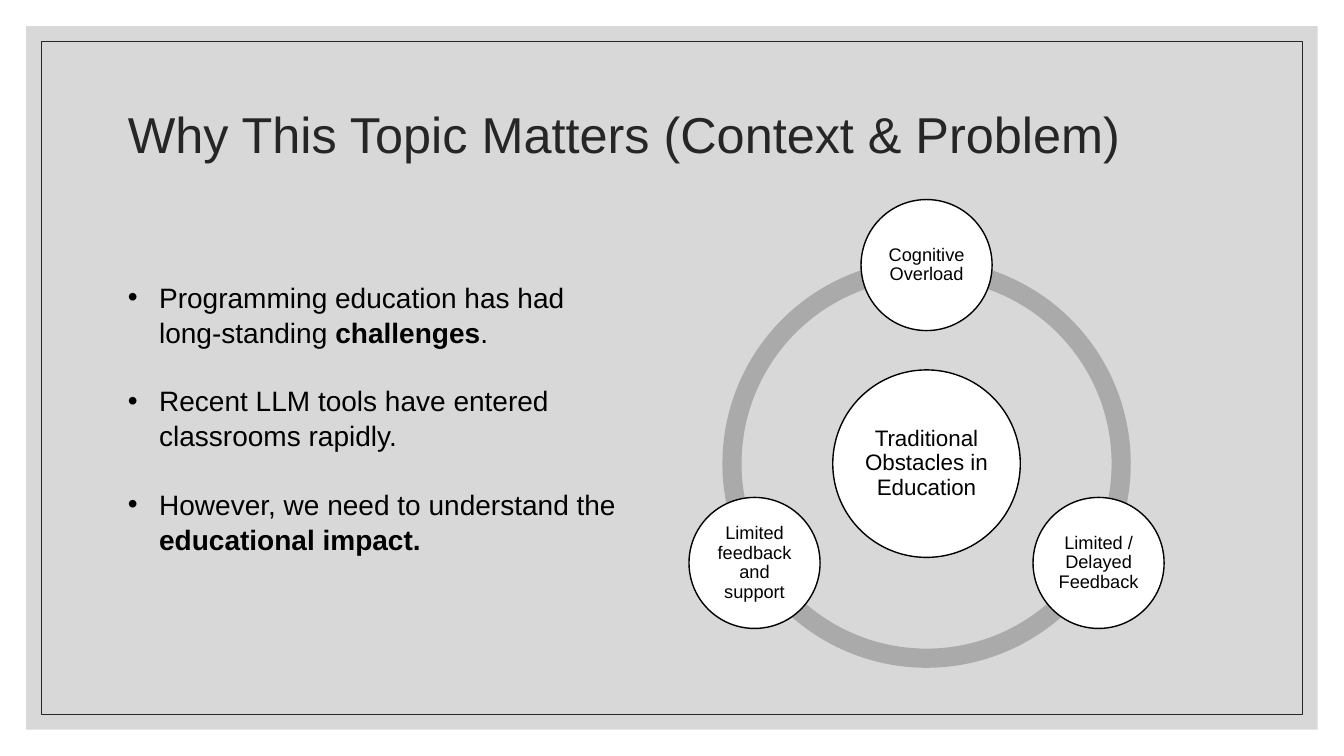
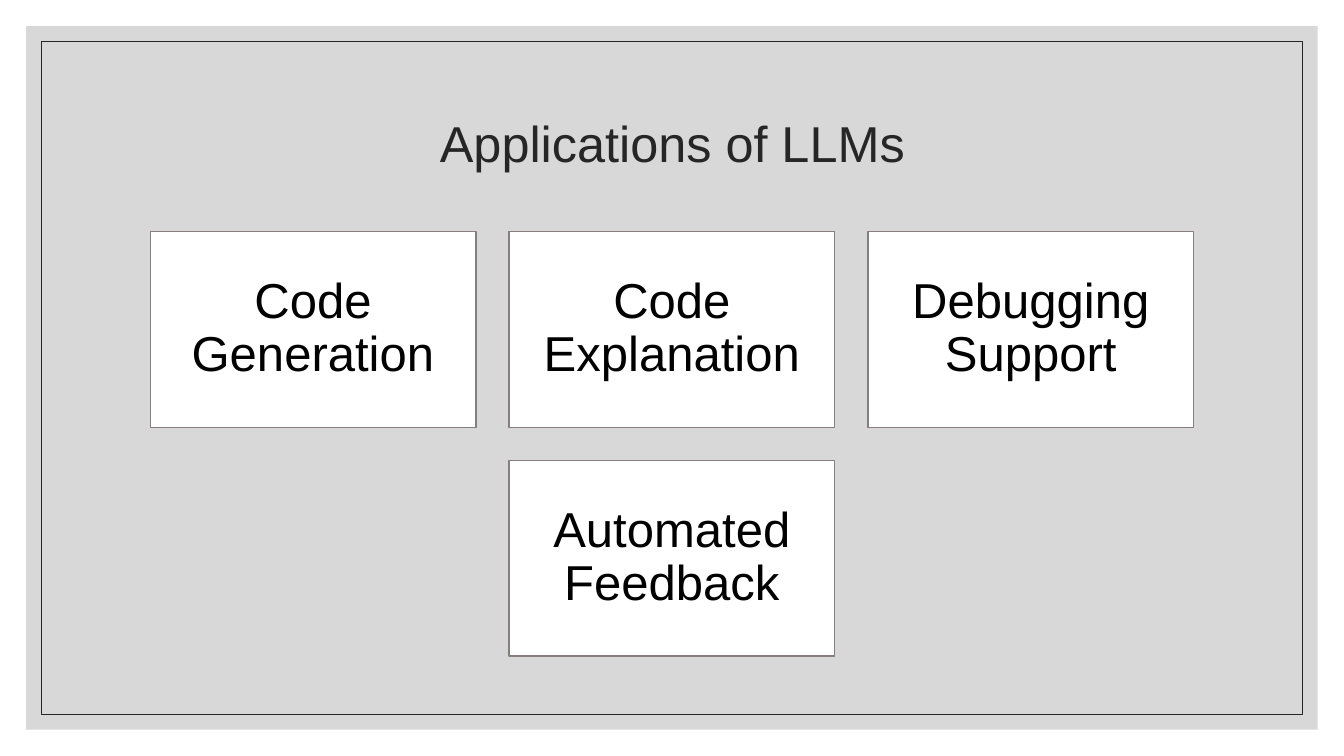
from math import cos, radians, sin

from lxml.etree import SubElement
from pptx import Presentation
from pptx.dml.color import RGBColor
from pptx.enum.shapes import MSO_SHAPE
from pptx.enum.text import MSO_ANCHOR, MSO_AUTO_SIZE, PP_ALIGN
from pptx.oxml.ns import qn
from pptx.util import Inches, Pt

FONT = "Arial"
BLACK = "000000"
WHITE = "FFFFFF"
DARK = "262626"
PANEL_GRAY = "BFBFBF"
RING_GRAY = "AAAAAA"
CARD_EDGE = "877E7E"

SLIDE_WIDTH, SLIDE_HEIGHT = 13.33, 7.5


def color(hex_code):
    return RGBColor.from_string(hex_code)


def write_text(para, text, size, font_color=BLACK, bold=False):
    span = para.add_run()
    span.text = text
    span.font.name = FONT
    span.font.size = Pt(size)
    span.font.bold = bold
    span.font.color.rgb = color(font_color)


def add_figure(page, preset, left, top, width, height, fill=None, line=None, line_width=1):
    figure = page.shapes.add_shape(
        preset, Inches(left), Inches(top), Inches(width), Inches(height))
    figure.shadow.inherit = False
    if fill:
        figure.fill.solid()
        figure.fill.fore_color.rgb = color(fill)
    else:
        figure.fill.background()
    if line:
        figure.line.color.rgb = color(line)
        figure.line.width = Pt(line_width)
    else:
        figure.line.fill.background()
    return figure


def label(figure, text, size, inset):
    """Write centred text inside a figure."""
    frame = figure.text_frame
    frame.word_wrap = True
    frame.vertical_anchor = MSO_ANCHOR.MIDDLE
    frame.margin_left = frame.margin_right = Inches(inset)
    frame.margin_top = frame.margin_bottom = Inches(inset)
    para = frame.paragraphs[0]
    para.alignment = PP_ALIGN.CENTER
    para.line_spacing = 0.9
    write_text(para, text, size)


def add_text_box(page, left, top, width, height):
    box = page.shapes.add_textbox(Inches(left), Inches(top), Inches(width), Inches(height))
    box.text_frame.word_wrap = True
    return box.text_frame


def add_inset_rectangle(page, inset, **style):
    return add_figure(page, MSO_SHAPE.RECTANGLE, inset, inset,
                      SLIDE_WIDTH - 2 * inset, SLIDE_HEIGHT - 2 * inset, **style)


def add_page(deck, title, title_top, alignment=PP_ALIGN.LEFT):
    """Add a slide with the gray panel, thin frame and title."""
    page = deck.slides.add_slide(deck.slide_layouts[6])
    panel = add_inset_rectangle(page, 0.26, fill=PANEL_GRAY)
    panel_color = panel.fill._xPr.find(qn("a:solidFill"))[0]
    SubElement(panel_color, qn("a:alpha"), val="60000")
    add_inset_rectangle(page, 0.41, line=DARK, line_width=0.5)

    frame = add_text_box(page, 1.17, title_top, 11, 1.5)
    frame.vertical_anchor = MSO_ANCHOR.MIDDLE
    para = frame.paragraphs[0]
    para.alignment = alignment
    para.line_spacing = 0.9
    write_text(para, title, 36, DARK)
    return page


def add_bullets(page, left, top, width, height, items):
    """Each item is a list of (text, bold) pairs."""
    frame = add_text_box(page, left, top, width, height)
    frame.auto_size = MSO_AUTO_SIZE.SHAPE_TO_FIT_TEXT
    for index, item in enumerate(items):
        para = frame.add_paragraph() if index else frame.paragraphs[0]
        para.line_spacing = 1.04
        para.space_before = Pt(24 if index else 0)
        properties = para._p.get_or_add_pPr()
        properties.set("marL", str(Inches(0.31)))
        properties.set("indent", str(-Inches(0.31)))
        SubElement(properties, qn("a:buFont"), typeface=FONT)
        SubElement(properties, qn("a:buChar"), char="•")
        for text, bold in item:
            write_text(para, text, 20, bold=bold)


def add_disc(page, center_x, center_y, diameter, text, size):
    disc = add_figure(page, MSO_SHAPE.OVAL, center_x - diameter / 2, center_y - diameter / 2,
                      diameter, diameter, fill=WHITE, line=BLACK)
    label(disc, text, size, inset=0.02)


def add_radial_cycle(page, center_x, center_y, hub, satellites):
    """Draw a ring around a hub, with satellites spread evenly from the top."""
    ring_diameter, ring_thickness, orbit = 4.05, 0.19, 1.97
    ring = add_figure(page, MSO_SHAPE.DONUT, center_x - ring_diameter / 2,
                      center_y - ring_diameter / 2, ring_diameter, ring_diameter,
                      fill=RING_GRAY)
    ring.adjustments[0] = ring_thickness / ring_diameter
    add_disc(page, center_x, center_y, 1.86, hub, 16)
    for index, text in enumerate(satellites):
        angle = radians(360 * index / len(satellites) - 90)
        add_disc(page, center_x + orbit * cos(angle), center_y + orbit * sin(angle),
                 1.3, text, 13)


def add_card_rows(page, top, rows):
    """Stack rows of equal cards, each row centred on the slide."""
    width, height, gap = 3.23, 1.94, 0.33
    for row_index, row in enumerate(rows):
        row_width = len(row) * (width + gap) - gap
        left = (SLIDE_WIDTH - row_width) / 2
        for column, text in enumerate(row):
            card = add_figure(page, MSO_SHAPE.RECTANGLE, left + column * (width + gap),
                              top + row_index * (height + gap), width, height,
                              fill=WHITE, line=CARD_EDGE)
            label(card, text, 35, inset=0.15)


def build_context(deck):
    page = add_page(deck, "Why This Topic Matters (Context & Problem)", 0.61)
    add_radial_cycle(page, 9.19, 4.6, "Traditional Obstacles in Education", [
        "Cognitive Overload",
        "Limited / Delayed Feedback",
        "Limited feedback and support",
    ])
    add_bullets(page, 1.17, 2.72, 5.17, 2.79, [
        [("Programming education has had long-standing ", False),
         ("challenges", True), (".", False)],
        [("Recent LLM tools have entered classrooms rapidly.", False)],
        [("However, we need to understand the ", False), ("educational impact.", True)],
    ])


def build_applications(deck):
    page = add_page(deck, "Applications of LLMs", 0.7, PP_ALIGN.CENTER)
    add_card_rows(page, 2.3, [
        ["Code Generation", "Code Explanation", "Debugging Support"],
        ["Automated Feedback"],
    ])


def main():
    deck = Presentation()
    deck.slide_width = Inches(SLIDE_WIDTH)
    deck.slide_height = Inches(SLIDE_HEIGHT)
    build_context(deck)
    build_applications(deck)
    deck.save("out.pptx")


if __name__ == "__main__":
    main()
